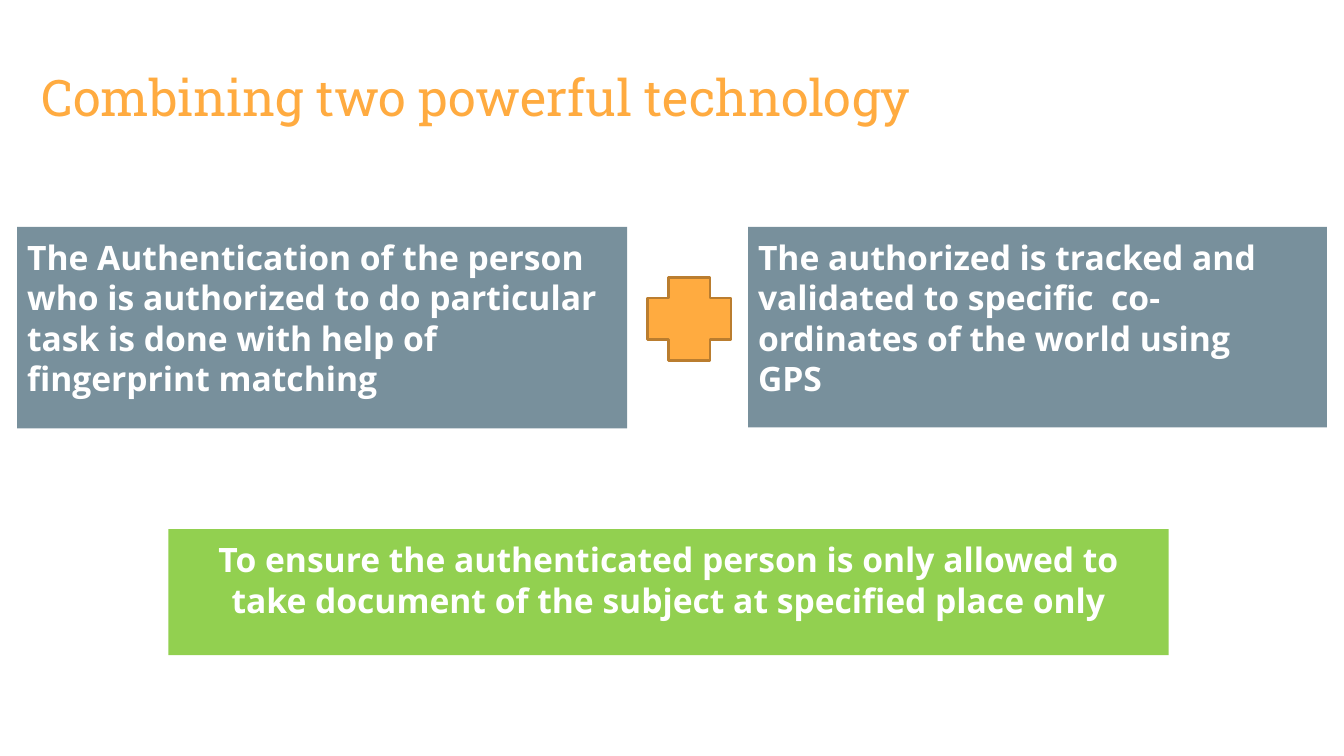
from pptx import Presentation
from pptx.dml.color import RGBColor
from pptx.enum.shapes import MSO_SHAPE
from pptx.enum.text import MSO_ANCHOR, PP_ALIGN
from pptx.util import Inches, Pt

RECT, PLUS = MSO_SHAPE.RECTANGLE, MSO_SHAPE.CROSS
LEFT, CENTER = PP_ALIGN.LEFT, PP_ALIGN.CENTER
TOP, BOTTOM = MSO_ANCHOR.TOP, MSO_ANCHOR.BOTTOM
COLORS = {
    "orange": "FFAB40",
    "brown": "BA7D2F",
    "slate": "78909C",
    "green": "92D050",
    "white": "FFFFFF",
}


def color(name):
    """Return the named colour."""
    return RGBColor.from_string(COLORS[name])


def set_text(sp, text, font, size, ink, inset, anchor, align=LEFT, bold=False):
    """Fill a shape with text in one format."""
    tf = sp.text_frame
    tf.text = text
    tf.word_wrap = True
    tf.vertical_anchor = anchor
    tf.margin_left = tf.margin_right = Inches(inset)
    tf.margin_top = tf.margin_bottom = Inches(inset)
    for p in tf.paragraphs:
        p.alignment = align
        for r in p.runs:
            r.font.name = font
            r.font.size = Pt(size)
            r.font.bold = bold
            r.font.color.rgb = color(ink)


def add_title(s, text):
    """Place and format the slide title."""
    sp = s.shapes.title
    sp.left, sp.top = Inches(0.28), Inches(0.29)
    sp.width, sp.height = Inches(10.27), Inches(1.1)
    set_text(sp, text, "Roboto Slab", 36, "orange", 0.13, BOTTOM)


def add_filled(s, kind, box, fill):
    """Add a flat filled shape without an outline."""
    sp = s.shapes.add_shape(kind, *(Inches(v) for v in box))
    sp.shadow.inherit = False
    sp.fill.solid()
    sp.fill.fore_color.rgb = color(fill)
    sp.line.fill.background()
    return sp


def add_panel(s, box, fill, text, align=LEFT):
    """Add a coloured panel with bold white text."""
    sp = add_filled(s, RECT, box, fill)
    set_text(sp, text, "Open Sans", 24, "white", 0.1, TOP, align, True)


def add_plus(s, box):
    """Add the outlined plus sign between the panels."""
    sp = add_filled(s, PLUS, box, "orange")
    sp.adjustments[0] = 0.25
    sp.line.color.rgb = color("brown")
    sp.line.width = Pt(2)


def main():
    """Build the slide and save it."""
    prs = Presentation()
    prs.slide_width, prs.slide_height = Inches(13.33), Inches(7.5)
    s = prs.slides.add_slide(prs.slide_layouts[5])
    add_title(s, "Combining two powerful technology")
    add_panel(s, (0.17, 2.25, 6.05, 2), "slate",
              "The Authentication of the person who is authorized to do "
              "particular task is done with help of fingerprint matching")
    add_panel(s, (7.42, 2.25, 5.74, 1.99), "slate",
              "The authorized is tracked and validated to specific  "
              "co-ordinates of the world using\nGPS")
    add_plus(s, (6.42, 2.75, 0.83, 0.83))
    add_panel(s, (1.67, 5.25, 9.92, 1.25), "green",
              "To ensure the authenticated person is only allowed to take "
              "document of the subject at specified place only", CENTER)
    prs.save("out.pptx")


if __name__ == "__main__":
    main()
